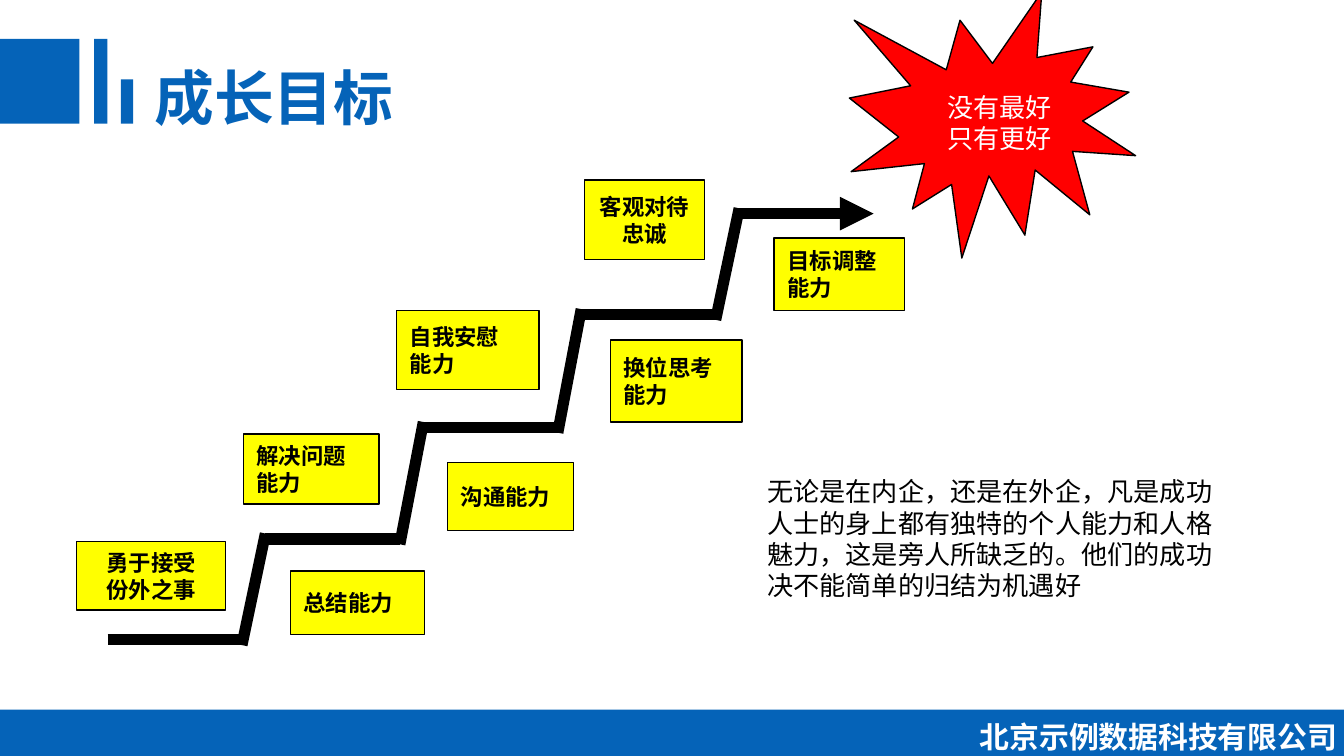
from pptx import Presentation
from pptx.dml.color import RGBColor
from pptx.enum.shapes import MSO_CONNECTOR, MSO_SHAPE
from pptx.enum.text import MSO_ANCHOR, PP_ALIGN
from pptx.oxml.ns import qn
from pptx.util import Inches, Pt
from lxml.etree import SubElement

FONT = "Noto Sans CJK SC"
BLUE, BLACK, WHITE = "0563B8", "000000", "FFFFFF"
LEFT, CENTER, RIGHT = PP_ALIGN.LEFT, PP_ALIGN.CENTER, PP_ALIGN.RIGHT

deck = Presentation()
deck.slide_width, deck.slide_height = Inches(10), Inches(10 * 9 / 16)
slide = deck.slides.add_slide(deck.slide_layouts[6])
shapes = slide.shapes


def draw(kind, box, fill, edge=None):
    shape = shapes.add_shape(kind, *map(Inches, box))
    shape.shadow.inherit = False
    shape.fill.solid()
    shape.fill.fore_color.rgb = RGBColor.from_string(fill)
    if edge:
        shape.line.color.rgb = RGBColor.from_string(edge)
        shape.line.width = Pt(0.75)
    else:
        shape.line.fill.background()
    return shape


def write(frame, text, size, color, bold=False, align=LEFT, wrap=True):
    """Fill a text frame, one paragraph per line, in the Latin and East Asian font."""
    frame.word_wrap = wrap
    frame.text = text
    for para in frame.paragraphs:
        para.alignment = align
        font = para.font
        font.size, font.bold, font.name = Pt(size), bold, FONT
        font.color.rgb = RGBColor.from_string(color)
        props = para._p.pPr.find(qn("a:defRPr"))
        SubElement(props, qn("a:ea"), typeface=FONT)


# Header and footer bars
for bar in [(0, 0.29, 0.59, 0.63), (0.7, 0.29, 0.1, 0.63),
            (0.9, 0.59, 0.09, 0.33), (0, 5.28, 10, 0.36)]:
    draw(MSO_SHAPE.RECTANGLE, bar, BLUE)

draw(MSO_SHAPE.EXPLOSION1, (6.32, -0.06, 2.13, 1.98), "FF0000", BLACK)

# Staircase: level treads, joined by slanted risers
levels = [4.76, 4.01, 3.18, 2.34, 1.59]
starts = [0.8 + 4.7 / 4 * i for i in range(len(levels))]
lines = [(x, y, x + 1, y) for x, y in zip(starts, levels)]
tread = len(lines)
for i in range(tread - 1):
    lines.append((starts[i + 1], levels[i + 1] - 0.04, starts[i] + 1, levels[i] + 0.04))
for i, ends in enumerate(lines):
    step = shapes.add_connector(MSO_CONNECTOR.STRAIGHT, *map(Inches, ends))
    step.line.color.rgb = RGBColor.from_string(BLACK)
    step.line.width = Pt(6)
    if i == tread - 1:
        SubElement(step.line._get_or_add_ln(), qn("a:tailEnd"), type="triangle")
    SubElement(step._element.spPr, qn("a:effectLst"))

# Skill boxes
skills = [
    ("勇于接受\n份外之事", (0.57, 4.03, 1.11, 0.51), CENTER),
    ("总结能力", (2.16, 4.25, 1, 0.47), LEFT),
    ("解决问题\n能力", (1.81, 3.23, 1.01, 0.52), LEFT),
    ("沟通能力", (3.33, 3.44, 0.94, 0.51), LEFT),
    ("自我安慰\n能力", (2.95, 2.31, 1.06, 0.59), LEFT),
    ("换位思考\n能力", (4.54, 2.53, 0.98, 0.61), LEFT),
    ("客观对待\n忠诚", (4.35, 1.34, 0.89, 0.59), CENTER),
    ("目标调整\n能力", (5.76, 1.77, 0.97, 0.54), LEFT),
]
for text, box, align in skills:
    skill = draw(MSO_SHAPE.RECTANGLE, box, "FFFF00", BLACK)
    skill.text_frame.vertical_anchor = MSO_ANCHOR.MIDDLE
    write(skill.text_frame, text, 12, BLACK, True, align, wrap=False)

# Free text
story = ("无论是在内企，还是在外企，凡是成功人士的身上都有独特的个人能力和人格魅力，"
         "这是旁人所缺乏的。他们的成功决不能简单的归结为机遇好")
texts = [
    ("成长目标", (1.05, 0.4, 7.58, 0.64), 32, BLUE, True, LEFT, 0.1),
    ("没有最好只有更好", (6.95, 0.63, 1.16, 0.57), 14, WHITE, False, LEFT, 0.1),
    (story, (5.61, 3.49, 3.61, 1.04), 14, BLACK, False, LEFT, 0.1),
    ("北京示例数据科技有限公司", (6.65, 5.3, 3.35, 0.37), 16, WHITE, True, RIGHT, 0.05),
]
for text, box, size, color, bold, align, inset in texts:
    frame = shapes.add_textbox(*map(Inches, box)).text_frame
    frame.margin_left = frame.margin_right = Inches(inset)
    write(frame, text, size, color, bold, align)

deck.save("out.pptx")
